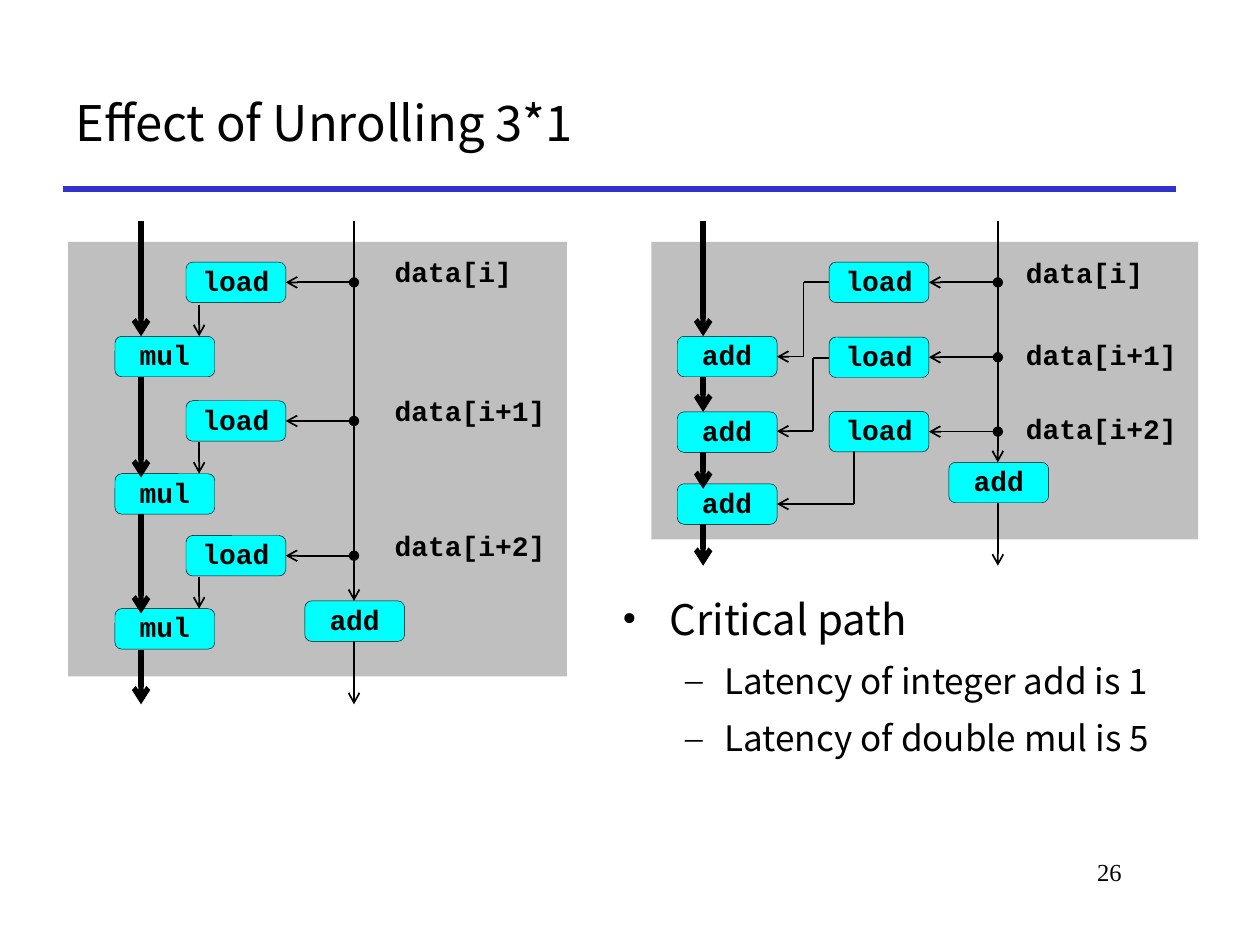
from lxml import etree
from pptx import Presentation
from pptx.dml import color
from pptx.enum import shapes, text
from pptx.oxml import ns
from pptx.util import Pt

HUES = {"ink": "000000", "rule": "3333CC", "panel": "BFBFBF", "node": "00FFFF"}
CODE = {"name": "Courier New", "size": Pt(16), "bold": True}
SANS = "Noto Sans CJK KR"
SERIF = "Times New Roman"
WIDE, HIGH = 57, 23.1
MID = HIGH / 2


def hue(key):
    return color.RGBColor.from_string(HUES[key])


def apply(item, vals):
    for key, val in vals.items():
        setattr(item, key, val)


def write(par, words, font, **form):
    par.text = words
    apply(par, form)
    apply(par.font, font)
    par.font.color.rgb = hue("ink")


def label(slide, words, spot, font, **form):
    box = slide.shapes.add_textbox(*map(Pt, spot))
    box.text_frame.word_wrap = True
    write(box.text_frame.paragraphs[0], words, font, **form)


def panel(slide, *spot):
    area = slide.shapes.add_shape(shapes.MSO_SHAPE.RECTANGLE, *map(Pt, spot))
    area.shadow.inherit = False
    area.fill.solid()
    area.fill.fore_color.rgb = hue("panel")
    area.line.fill.background()


def node(slide, words, left, top):
    box = slide.shapes.add_shape(
        shapes.MSO_SHAPE.ROUNDED_RECTANGLE, Pt(left), Pt(top), Pt(WIDE), Pt(HIGH))
    box.shadow.inherit = False
    box.fill.solid()
    box.fill.fore_color.rgb = hue("node")
    box.line.color.rgb = hue("ink")
    box.line.width = Pt(0.25)
    frame = box.text_frame
    apply(frame, {"margin_left": 0, "margin_right": 0, "margin_top": 0,
                  "margin_bottom": 0, "vertical_anchor": text.MSO_ANCHOR.MIDDLE})
    write(frame.paragraphs[0], words, CODE,
          alignment=text.PP_ALIGN.CENTER, line_spacing=0.9)


def line(slide, x1, y1, x2, y2, width=1, tone="ink", head=None, tail="arrow"):
    link = slide.shapes.add_connector(
        shapes.MSO_CONNECTOR.STRAIGHT, Pt(x1), Pt(y1), Pt(x2), Pt(y2))
    link.line.color.rgb = hue(tone)
    link.line.width = Pt(width)
    stroke = link.line._get_or_add_ln()
    for tag, kind in (("a:headEnd", head), ("a:tailEnd", tail)):
        if kind:
            etree.SubElement(stroke, ns.qn(tag), type=kind)
    etree.SubElement(link._element.spPr, ns.qn("a:effectLst"))


def elbow(slide, *dots):
    for num, (start, end) in enumerate(zip(dots, dots[1:]), 2):
        line(slide, *start, *end, tail="arrow" if num == len(dots) else None)


def spine(slide, x, stops, width):
    for start, end in stops:
        line(slide, x, start, x, end, width)


def loads(slide, left, axis, edge, tops, tags):
    names = ["data[i]", "data[i+1]", "data[i+2]"]
    for name, top, tag in zip(names, tops, tags):
        node(slide, "load", left, top)
        line(slide, axis, top + MID, left + WIDE, top + MID, head="oval")
        label(slide, name, (edge, tag, 105.8, 24.5), CODE, line_spacing=0.9)


def product(slide):
    panel(slide, 39, 138.2, 285, 248.4)
    tops = [149.8, 229, 306]
    ends = [192.2, 270.7, 347.8]
    for top in ends:
        node(slide, "mul", 65.7, top)
        line(slide, 113.8, top - 18, 113.8, top)
    loads(slide, 106.3, 202.3, 218.4, tops, [top - 5.5 for top in tops])
    node(slide, "add", 174.2, 343.4)
    spine(slide, 80.6, [(126, 192.2), (215.3, 272.9), (293.8, 350.6), (371.5, 402.5)], 3)
    spine(slide, 202.3, [(126, 343.4), (366.5, 402.5)], 1)


def total(slide):
    panel(slide, 372.2, 138.2, 312.5, 170)
    tops = [192.2, 235.4, 276.5]
    for top in tops:
        node(slide, "add", 387, top)
    loads(slide, 473.8, 570.2, 579.2, [149.8, 192.6, 235.1], [144.7, 191.5, 234])
    node(slide, "add", 542.2, 264.2)
    starts = [126] + [top + HIGH for top in tops]
    spine(slide, 401.8, zip(starts, [192.2, 235.4, 279.4, 323.3]), 3)
    spine(slide, 570.2, [(126, 264.2), (287.3, 323.3)], 1)
    elbow(slide, (473.8, 161.3), (459.2, 161.3), (459.2, 203.8), (444, 203.8))
    elbow(slide, (473.8, 204.5), (464.6, 204.5), (464.6, 246.4), (444, 246.4))
    elbow(slide, (488.2, 258), (488.2, 288), (444, 288))


def bullets(slide, rows):
    box = slide.shapes.add_textbox(Pt(348.5), Pt(329.8), Pt(360), Pt(129.6))
    frame = box.text_frame
    frame.word_wrap = True
    for num, (words, level) in enumerate(rows):
        par = frame.add_paragraph() if num else frame.paragraphs[0]
        size, mark, left, hang = [(24, "•", 27, 27), (20, "–", 58.5, 22.5)][level]
        props = par._p.get_or_add_pPr()
        props.set("marL", str(Pt(left)))
        props.set("indent", str(-Pt(hang)))
        etree.SubElement(props, ns.qn("a:buFont"), typeface=SERIF)
        etree.SubElement(props, ns.qn("a:buChar"), char=mark)
        write(par, words, {"name": SANS, "size": Pt(size)}, level=level,
              line_spacing=1.2, space_before=Pt(size * 0.2 if num else 0))


def heading(slide, words):
    title = slide.shapes.title
    apply(title, {"left": Pt(36), "top": Pt(36), "width": Pt(636), "height": Pt(72)})
    apply(title.text_frame, {"vertical_anchor": text.MSO_ANCHOR.MIDDLE,
                             "auto_size": text.MSO_AUTO_SIZE.NONE})
    write(title.text_frame.paragraphs[0], words, {"name": SANS, "size": Pt(28)},
          alignment=text.PP_ALIGN.LEFT, line_spacing=0.9)


def main():
    deck = Presentation()
    apply(deck, {"slide_width": Pt(720), "slide_height": Pt(540)})
    slide = deck.slides.add_slide(deck.slide_layouts[5])
    line(slide, 36, 108, 672, 108, 3, "rule", tail=None)
    label(slide, "26", (546, 486, 102, 36),
          {"name": SERIF, "size": Pt(14)}, alignment=text.PP_ALIGN.RIGHT)
    heading(slide, "Effect of Unrolling 3*1")
    product(slide)
    total(slide)
    bullets(slide, [("Critical path", 0), ("Latency of integer add is 1", 1),
                    ("Latency of double mul is 5", 1)])
    deck.save("out.pptx")


if __name__ == "__main__":
    main()
